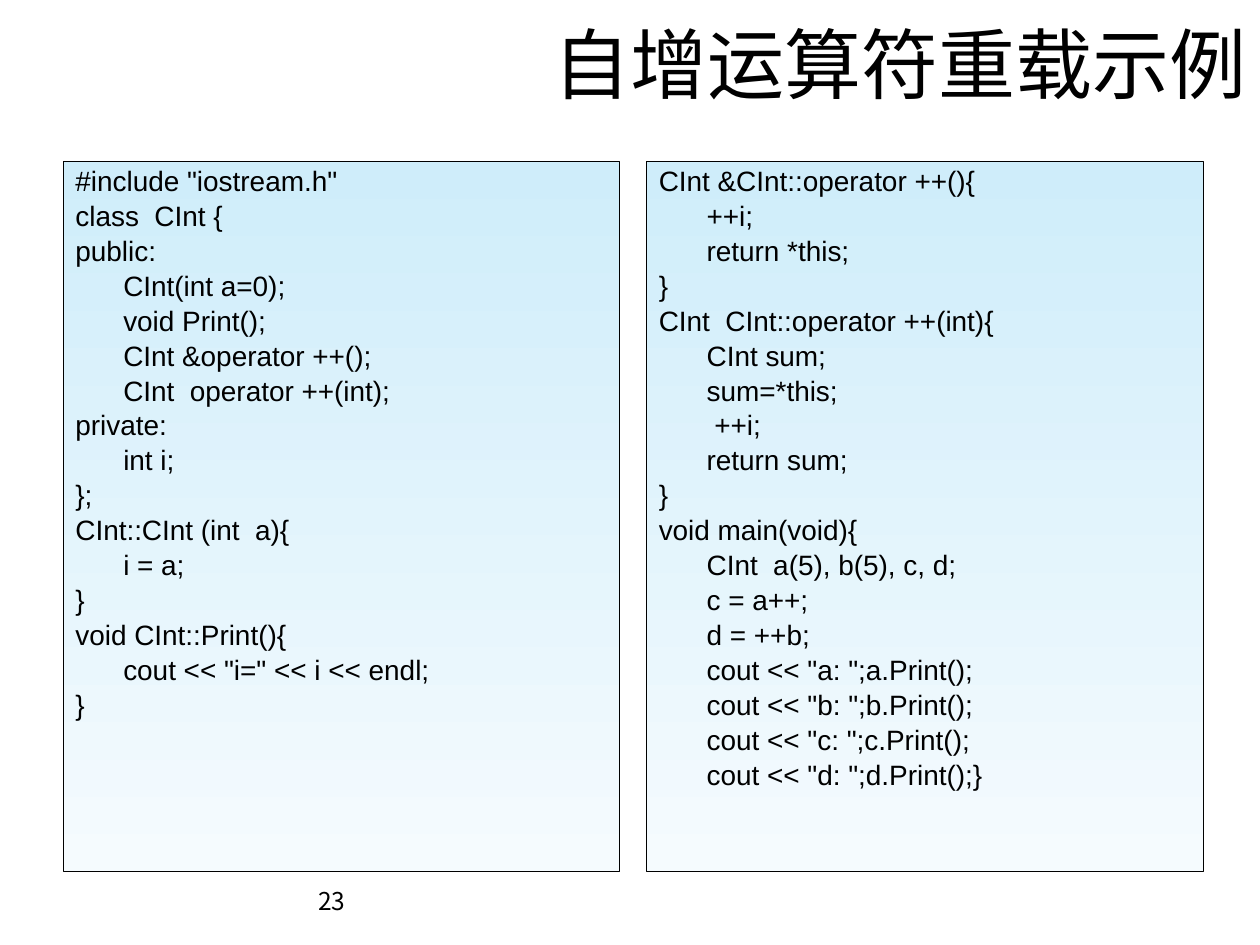
"""Build the slide on overloading the increment operator."""
import pptx
import pptx.util
import pptx.dml.color
import pptx.enum.shapes
import pptx.enum.text

Inches, Pt = pptx.util.Inches, pptx.util.Pt
Align = pptx.enum.text.PP_ALIGN
Anchor = pptx.enum.text.MSO_ANCHOR

TITLE = "自增运算符重载示例"
PAGE = "23"
CODE = [
    [
        '#include "iostream.h"',
        "class  CInt {",
        "public:",
        "\tCInt(int a=0);",
        "\tvoid Print();",
        "\tCInt &operator ++();",
        "\tCInt  operator ++(int);",
        "private:",
        "\tint i;",
        "};",
        "CInt::CInt (int  a){",
        "\ti = a;",
        "}",
        "void CInt::Print(){",
        '\tcout << "i=" << i << endl;',
        "}",
    ],
    [
        "CInt &CInt::operator ++(){",
        "\t++i;",
        "\treturn *this;",
        "}",
        "CInt  CInt::operator ++(int){",
        "\tCInt sum;",
        "\tsum=*this;",
        "\t ++i;",
        "\treturn sum;",
        "}",
        "void main(void){",
        "\tCInt  a(5), b(5), c, d;",
        "\tc = a++;",
        "\td = ++b;",
        '\tcout << "a: ";a.Print();',
        '\tcout << "b: ";b.Print();',
        '\tcout << "c: ";c.Print();',
        '\tcout << "d: ";d.Print();}',
    ],
]
LEFT, TOP, WIDE, HIGH, STEP = 0.5, 1.28, 4.42, 5.64, 4.63


def paint(color, value):
    color.rgb = pptx.dml.color.RGBColor.from_string(value)


def write(para, text, size, font="Arial"):
    run = para.add_run()
    run.text = text
    run.font.size = Pt(size)
    run.font.name = font
    paint(run.font.color, "000000")


def label(slide, area, text, size, font="Arial"):
    box = slide.shapes.add_textbox(*map(Inches, area))
    frame = box.text_frame
    frame.word_wrap = True
    frame.vertical_anchor = Anchor.MIDDLE
    para = frame.paragraphs[0]
    para.alignment = Align.RIGHT
    write(para, text, size, font)


def panel(slide, left, lines):
    area = map(Inches, (left, TOP, WIDE, HIGH))
    box = slide.shapes.add_shape(pptx.enum.shapes.MSO_SHAPE.RECTANGLE, *area)
    box.shadow.inherit = False
    box.fill.gradient()
    box.fill.gradient_angle = 270
    for stop, (place, tint) in zip(box.fill.gradient_stops, [(0, "CFEDFA"), (1, "F5FBFE")]):
        stop.position = place
        paint(stop.color, tint)
    box.line.width = Pt(0.5)
    box.line.fill.solid()
    paint(box.line.color, "000000")
    frame = box.text_frame
    frame.word_wrap = True
    frame.vertical_anchor = Anchor.TOP
    frame.margin_top = Inches(0.07)
    for num, line in enumerate(lines):
        para = frame.add_paragraph() if num else frame.paragraphs[0]
        para.alignment = Align.LEFT
        para.line_spacing = 0.8
        para.space_before = Pt(4.6 if num else 0)
        props = para._p.get_or_add_pPr()
        props.set("marL", str(Inches(0.38)))
        props.set("indent", str(-Inches(0.38)))
        write(para, line, 16)


def main():
    deck = pptx.Presentation()
    deck.slide_width, deck.slide_height = Inches(10), Inches(7.5)
    slide = deck.slides.add_slide(deck.slide_layouts[6])
    label(slide, (0.5, 6.98, 2.34, 0.34), PAGE, 14, "Noto Sans CJK SC")
    label(slide, (1, 0, 9, 0.99), TITLE, 44)
    for num, lines in enumerate(CODE):
        panel(slide, LEFT + num * STEP, lines)
    deck.save("out.pptx")


if __name__ == "__main__":
    main()
